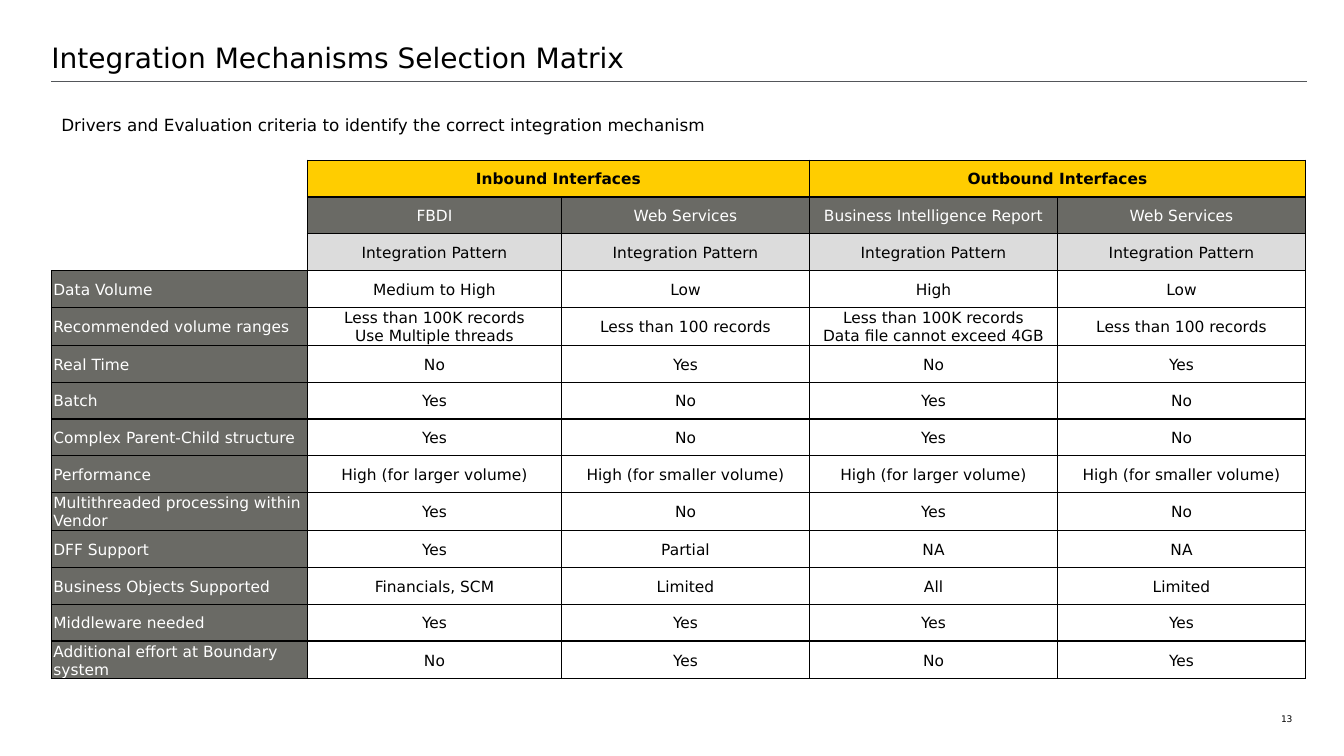
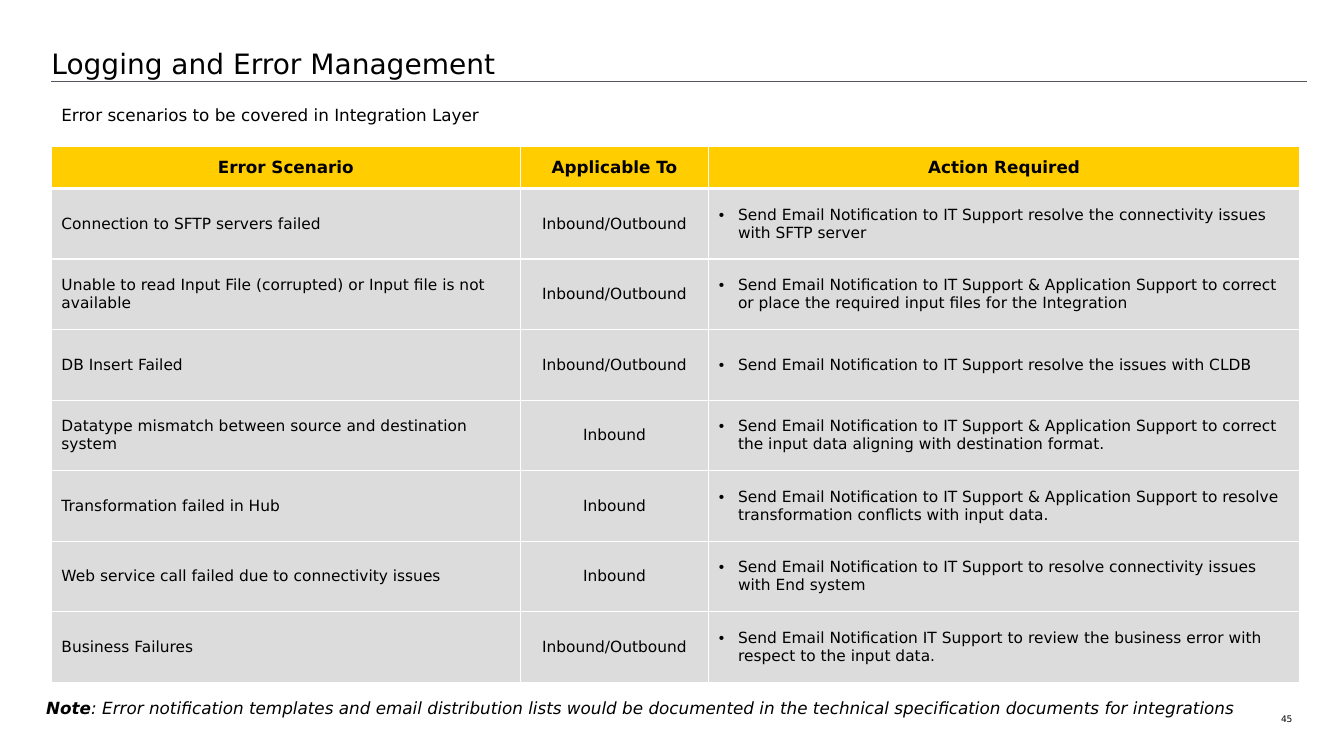
import pptx
import pptx.dml.color
import pptx.enum.shapes
import pptx.enum.text
import pptx.oxml
import pptx.oxml.ns
import pptx.util

Inches = pptx.util.Inches
Pt = pptx.util.Pt
RGBColor = pptx.dml.color.RGBColor
LEFT = pptx.enum.text.PP_ALIGN.LEFT
CENTER = pptx.enum.text.PP_ALIGN.CENTER
RIGHT = pptx.enum.text.PP_ALIGN.RIGHT
MIDDLE = pptx.enum.text.MSO_ANCHOR.MIDDLE

BLACK = RGBColor(0x00, 0x00, 0x00)
WHITE = RGBColor(0xFF, 0xFF, 0xFF)
YELLOW = RGBColor(0xFF, 0xCD, 0x00)
DARK_GRAY = RGBColor(0x6A, 0x6A, 0x65)
LIGHT_GRAY = RGBColor(0xDC, 0xDC, 0xDC)
RULE_GRAY = RGBColor(0x53, 0x56, 0x5A)

FONT = "DejaVu Sans"
MARGIN = 0.51
NAMESPACE = pptx.oxml.ns.nsdecls("a")
NO_INSETS = (0, 0, 0, 0)

MATRIX = {"size": 11, "align": CENTER, "insets": (0.02, 0.02, 0.02, 0),
          "border": BLACK, "borders": {"L": 1, "R": 1, "T": 1, "B": 1}}
MATRIX_GROUP = {**MATRIX, "fill": YELLOW, "bold": True}
MATRIX_MECHANISM = {**MATRIX, "fill": DARK_GRAY, "color": WHITE}
MATRIX_PATTERN = {**MATRIX, "fill": LIGHT_GRAY}
MATRIX_CRITERION = {**MATRIX_MECHANISM, "align": LEFT}
MATRIX_BLANK = {**MATRIX, "borders": {"R": 1}}

ERROR_HEADER = {"size": 12, "align": CENTER, "bold": True, "fill": YELLOW,
                "border": WHITE, "borders": {"L": 1, "R": 1, "T": 1, "B": 3}}
ERROR_SCENARIO = {"size": 11, "fill": LIGHT_GRAY, "insets": (0.1, 0, 0.1, 0),
                  "border": WHITE, "borders": {"L": 1, "R": 1, "B": 1}}
ERROR_SCOPE = {**ERROR_SCENARIO, "align": CENTER}
ERROR_ACTION = {**ERROR_SCENARIO, "bullet": True}

MATRIX_ROWS = [
    ["", "Inbound Interfaces", "", "Outbound Interfaces", ""],
    ["", "FBDI", "Web Services", "Business Intelligence Report", "Web Services"],
    [""] + ["Integration Pattern"] * 4,
    ["Data Volume", "Medium to High", "Low", "High", "Low"],
    ["Recommended volume ranges",
     "Less than 100K records\nUse Multiple threads", "Less than 100 records",
     "Less than 100K records\nData file cannot exceed 4GB", "Less than 100 records"],
    ["Real Time", "No", "Yes", "No", "Yes"],
    ["Batch", "Yes", "No", "Yes", "No"],
    ["Complex Parent-Child structure", "Yes", "No", "Yes", "No"],
    ["Performance", "High (for larger volume)", "High (for smaller volume)",
     "High (for larger volume)", "High (for smaller volume)"],
    ["Multithreaded processing within Vendor", "Yes", "No", "Yes", "No"],
    ["DFF Support", "Yes", "Partial", "NA", "NA"],
    ["Business Objects Supported", "Financials, SCM", "Limited", "All", "Limited"],
    ["Middleware needed", "Yes", "Yes", "Yes", "Yes"],
    ["Additional effort at Boundary system", "No", "Yes", "No", "Yes"],
]

ERROR_ROWS = [
    ["Error Scenario", "Applicable To", "Action Required"],
    ["Connection to SFTP servers failed", "Inbound/Outbound",
     "Send Email Notification to IT Support resolve the connectivity issues with SFTP server"],
    ["Unable to read Input File (corrupted) or Input file is not available",
     "Inbound/Outbound",
     "Send Email Notification to IT Support & Application Support to correct or place "
     "the required input files for the Integration"],
    ["DB Insert Failed", "Inbound/Outbound",
     "Send Email Notification to IT Support resolve the issues with CLDB"],
    ["Datatype mismatch between source and destination system", "Inbound",
     "Send Email Notification to IT Support & Application Support to correct the input "
     "data aligning with destination format."],
    ["Transformation failed in Hub", "Inbound",
     "Send Email Notification to IT Support & Application Support to resolve "
     "transformation conflicts with input data."],
    ["Web service call failed due to connectivity issues", "Inbound",
     "Send Email Notification to IT Support to resolve connectivity issues with End system"],
    ["Business Failures", "Inbound/Outbound",
     "Send Email Notification IT Support to review the business error with respect to "
     "the input data."],
]


def set_attributes(target, values):
    for name, value in values.items():
        setattr(target, name, value)


def set_insets(target, insets):
    sides = ("left", "top", "right", "bottom")
    set_attributes(target, {f"margin_{side}": Inches(inset)
                            for side, inset in zip(sides, insets)})


def matrix_style(row, column):
    if column == 0:
        return MATRIX_BLANK if row < 3 else MATRIX_CRITERION
    headers = (MATRIX_GROUP, MATRIX_MECHANISM, MATRIX_PATTERN)
    return headers[row] if row < 3 else MATRIX


def error_style(row, column):
    return (ERROR_SCENARIO, ERROR_SCOPE, ERROR_ACTION)[column] if row else ERROR_HEADER


class Deck:
    def __init__(self):
        self.presentation = pptx.Presentation()
        self.presentation.slide_width = Inches(13.33)
        self.presentation.slide_height = Inches(7.5)
        self.slide = None

    def add_slide(self, title, title_top, number):
        self.slide = self.presentation.slides.add_slide(self.presentation.slide_layouts[5])
        shape = self.slide.shapes.title
        set_attributes(shape, {"left": Inches(MARGIN), "top": Inches(title_top),
                               "width": Inches(12.31), "height": Inches(0.37)})
        self.format_frame(shape.text_frame, NO_INSETS)
        shape.text_frame.vertical_anchor = MIDDLE
        self.add_run(shape.text_frame.paragraphs[0], title, size=20)
        self.add_rule()
        self.add_text((12.48, 7.08, 0.34, 0.11), str(number), size=6.5,
                      align=RIGHT, insets=NO_INSETS)

    def format_frame(self, frame, insets):
        set_insets(frame, insets)
        set_attributes(frame, {"word_wrap": True,
                               "auto_size": pptx.enum.text.MSO_AUTO_SIZE.NONE})

    def add_run(self, paragraph, text, size=12, color=BLACK, bold=False, italic=False,
                align=LEFT):
        paragraph.alignment = align
        run = paragraph.add_run()
        run.text = text
        set_attributes(run.font, {"name": FONT, "size": Pt(size), "bold": bold,
                                  "italic": italic})
        run.font.color.rgb = color

    def add_text(self, box, text, insets=(0.1, 0.05, 0.1, 0.05), **format_values):
        shape = self.slide.shapes.add_textbox(*map(Inches, box))
        self.format_frame(shape.text_frame, insets)
        paragraph = shape.text_frame.paragraphs[0]
        self.add_run(paragraph, text, **format_values)
        return paragraph

    def add_rule(self):
        connector = self.slide.shapes.add_connector(
            pptx.enum.shapes.MSO_CONNECTOR.STRAIGHT,
            Inches(MARGIN), Inches(0.81), Inches(12.96), Inches(0.81))
        connector.line.color.rgb = RULE_GRAY
        connector.line.width = Pt(0.75)
        connector._element.spPr.append(pptx.oxml.parse_xml(f"<a:effectLst {NAMESPACE}/>"))

    def add_table(self, top, widths, heights, rows, style_for, merges=()):
        table = self.slide.shapes.add_table(
            len(rows), len(widths), Inches(MARGIN), Inches(top),
            Inches(sum(widths)), Inches(sum(heights))).table
        set_attributes(table, {"first_row": False, "horz_banding": False})
        for column, width in zip(table.columns, widths):
            column.width = Inches(width)
        for row, height in zip(table.rows, heights):
            row.height = Inches(height)
        for row, first, last in merges:
            table.cell(row, first).merge(table.cell(row, last))
        for row, texts in enumerate(rows):
            for column, text in enumerate(texts):
                cell = table.cell(row, column)
                if not cell.is_spanned:
                    self.fill_cell(cell, text, **style_for(row, column))

    def fill_cell(self, cell, text, border, borders, fill=WHITE, insets=NO_INSETS,
                  bullet=False, **format_values):
        cell.fill.solid()
        cell.fill.fore_color.rgb = fill
        cell.vertical_anchor = MIDDLE
        set_insets(cell, insets)
        properties = cell._tc.get_or_add_tcPr()
        for position, (side, width) in enumerate(borders.items()):
            properties.insert(position, pptx.oxml.parse_xml(
                f'<a:ln{side} {NAMESPACE} w="{Pt(width)}"><a:solidFill>'
                f'<a:srgbClr val="{border}"/></a:solidFill></a:ln{side}>'))
        frame = cell.text_frame
        for index, line in enumerate(text.split("\n") if text else []):
            paragraph = frame.add_paragraph() if index else frame.paragraphs[0]
            if bullet:
                self.add_bullet(paragraph)
            self.add_run(paragraph, line, **format_values)

    def add_bullet(self, paragraph):
        properties = paragraph._p.get_or_add_pPr()
        properties.set("marL", str(Inches(0.19)))
        properties.set("indent", str(Inches(-0.19)))
        properties.append(pptx.oxml.parse_xml(f'<a:buFont {NAMESPACE} typeface="Arial"/>'))
        properties.append(pptx.oxml.parse_xml(f'<a:buChar {NAMESPACE} char="•"/>'))


def build_selection_matrix(deck):
    deck.add_slide("Integration Mechanisms Selection Matrix", 0.38, 13)
    deck.add_text((MARGIN, 1.09, 12.45, 0.3),
                  "Drivers and Evaluation criteria to identify the correct integration mechanism")
    row_height = 5.11 / len(MATRIX_ROWS)
    deck.add_table(1.59, [2.54, 2.52, 2.46, 2.46, 2.46], [row_height] * len(MATRIX_ROWS),
                   MATRIX_ROWS, matrix_style, merges=[(0, 1, 2), (0, 3, 4)])


def build_error_management(deck):
    deck.add_slide("Logging and Error Management", 0.44, 45)
    deck.add_text((MARGIN, 0.99, 12.67, 0.3),
                  "Error scenarios to be covered in Integration Layer")
    deck.add_table(1.45, [4.65, 1.87, 5.86], [0.42] + [0.7] * (len(ERROR_ROWS) - 1),
                   ERROR_ROWS, error_style)
    note = deck.add_text((0.36, 6.87, 12.67, 0.3), "Note", bold=True, italic=True)
    deck.add_run(note, ": Error notification templates and email distribution lists would be "
                 "documented in the technical specification documents for integrations",
                 italic=True)


def main():
    deck = Deck()
    build_selection_matrix(deck)
    build_error_management(deck)
    deck.presentation.save("out.pptx")


if __name__ == "__main__":
    main()
